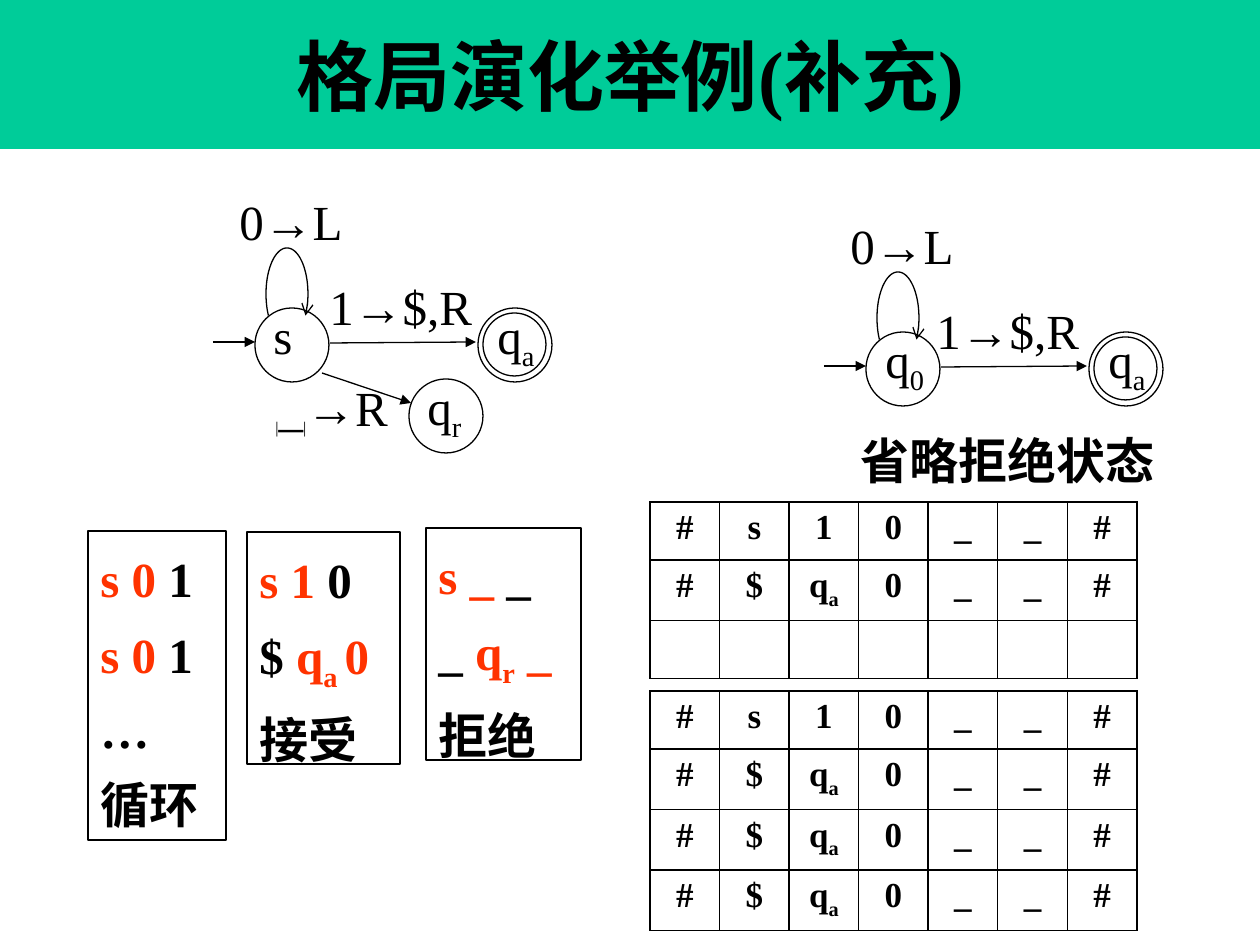
import math

from lxml import etree
from pptx import Presentation
from pptx import util as u
from pptx.dml.color import RGBColor
from pptx.enum import shapes, text
from pptx.oxml.ns import qn

THEME = {
    "font": "Times New Roman",
    "banner": RGBColor.from_string("00CC99"),
    "ink": RGBColor.from_string("000000"),
    "head": RGBColor.from_string("FF3300"),
    "paper": RGBColor.from_string("FFFFFF"),
    "title": 44, "body": 28, "cell": 20, "bar": 16,
    "line": 0.75, "border": 1,
}

# A run is a text or (text, marks): "h" head colour, "s" subscript, "b" small bar
TITLE = "格局演化举例(补充)"
OMITTED = "省略拒绝状态"
Q_A, Q_R, Q_0 = (["q", (name, "s")] for name in "ar0")
BLANK_TO_R = [("|", "bs"), "_", ("|", "bs"), "→R"]

# start circle position, start label and its indent, x of the edge label, has reject state
AUTOMATA = [
    ((255, 308), ["s"], 18, 62, True),
    ((866, 332), Q_0, 7, 58, False),
]

# left, top, width, height, lines
HISTORIES = [
    (88, 531, 138, 309, [[("s 0", "h"), " 1"], [("s 0", "h"), " 1"], ["…"], ["循环"]]),
    (247, 532, 153, 232, [[("s 1", "h"), " 0"],
                          ["$ ", ("q", "h"), ("a ", "hs"), ("0", "h")], ["接受"]]),
    (426, 528, 155, 232, [[("s _", "h"), " _"],
                          ["_ ", ("q", "h"), ("r", "hs"), (" _", "h")], ["拒绝"]]),
]

FIRST = [["#"], ["s"], ["1"], ["0"], ["_"], ["_"], ["#"]]
ACCEPTED = [["#"], ["$"], Q_A, ["0"], ["_"], ["_"], ["#"]]
TABLES = [
    (502, [FIRST, ACCEPTED, [[]] * 7]),
    (691, [FIRST] + [ACCEPTED] * 3),
]
TABLE_LEFT, TABLE_WIDTH, ROW_HEIGHT = 650, 487, 58
CIRCLE = 74


def px(n):
    return u.Emu(round(n * 914400 / 126))


def write(p, runs, size, bold=False, align=text.PP_ALIGN.LEFT):
    p.alignment = align
    p.font.name, p.font.size, p.font.bold = THEME["font"], u.Pt(size), bold
    p.font.color.rgb = THEME["ink"]
    for item in runs:
        words, marks = (item, "") if isinstance(item, str) else item
        r = p.add_run()
        r.text = words
        if "h" in marks:
            r.font.color.rgb = THEME["head"]
        if "b" in marks:
            r.font.size = u.Pt(THEME["bar"])
        if "s" in marks:
            r._r.get_or_add_rPr().set("baseline", "-25000")


def outline(sp):
    sp.shadow.inherit = False
    sp.fill.background()
    sp.line.color.rgb = THEME["ink"]
    sp.line.width = u.Pt(THEME["line"])


def add_head(sp, kind):
    etree.SubElement(sp.line._get_or_add_ln(), qn("a:tailEnd"), type=kind)


def add_label(parent, x, y, runs, width=190, bold=False):
    sp = parent.add_textbox(px(x), px(y), px(width), px(72))
    tf = sp.text_frame
    tf.word_wrap, tf.margin_right = True, 0
    write(tf.paragraphs[0], runs, THEME["body"], bold)


def add_circle(parent, x, y, size=CIRCLE):
    outline(parent.add_shape(shapes.MSO_SHAPE.OVAL, px(x), px(y), px(size), px(size)))


def add_arrow(parent, x1, y1, x2, y2):
    sp = parent.add_connector(shapes.MSO_CONNECTOR.STRAIGHT, px(x1), px(y1), px(x2), px(y2))
    sp.line.color.rgb = THEME["ink"]
    sp.line.width = u.Pt(THEME["line"])
    add_head(sp, "triangle")
    etree.SubElement(sp._element.spPr, qn("a:effectLst"))


def add_loop(parent, cx, cy, rx=21, ry=46):
    """Draw the self-transition as an ellipse open at the bottom."""
    points = [(px(cx + rx * math.cos(math.radians(a))), px(cy + ry * math.sin(math.radians(a))))
              for a in range(152, 389, 4)]
    builder = parent.build_freeform(*points[0])
    builder.add_line_segments(points[1:], close=False)
    sp = builder.convert_to_shape()
    outline(sp)
    add_head(sp, "arrow")


def add_automaton(slide, origin, start, indent, edge_x, rejects):
    x, y = origin
    g = slide.shapes.add_group_shape().shapes
    add_circle(g, x, y)
    add_label(g, x + indent - 12 + 12 * (indent == 7), y - 9, start, 75)
    add_circle(g, x + 223, y)
    add_circle(g, x + 228, y + 5, 63)
    add_label(g, x + 230, y - 9, Q_A, 75)
    add_arrow(g, x - 42, y + 34, x, y + 34)
    add_arrow(g, x + 75, y + 35, x + 221, y + 34)
    add_loop(g, x + 32, y - 14)
    add_label(g, x - 28, y - 123, ["0→L"])
    add_label(g, x + edge_x, y - 38, ["1→$,R"])
    if rejects:
        add_circle(g, x + 154, y + 71)
        add_label(g, x + 160, y + 62, Q_R, 75)
        add_arrow(g, x + 67, y + 65, x + 156, y + 95)
        add_label(g, x + 8, y + 63, BLANK_TO_R)


def add_history(slide, x, y, w, h, lines):
    sp = slide.shapes.add_shape(shapes.MSO_SHAPE.RECTANGLE, px(x), px(y), px(w), px(h))
    outline(sp)
    tf = sp.text_frame
    tf.word_wrap, tf.margin_right, tf.margin_top = True, 0, px(12)
    tf.vertical_anchor = text.MSO_ANCHOR.TOP
    for i, runs in enumerate(lines):
        p = tf.add_paragraph() if i else tf.paragraphs[0]
        p.line_spacing = 1.1
        p.space_before, p.space_after = u.Pt(3 if i else 0), u.Pt(3)
        write(p, runs, THEME["body"], True)


def add_borders(cell):
    tcPr = cell._tc.get_or_add_tcPr()
    for i, side in enumerate(("lnL", "lnR", "lnT", "lnB")):
        ln = etree.Element(qn("a:" + side), w=str(u.Pt(THEME["border"])))
        fill = etree.SubElement(ln, qn("a:solidFill"))
        etree.SubElement(fill, qn("a:srgbClr"), val=str(THEME["ink"]))
        tcPr.insert(i, ln)


def add_tableau(slide, top, rows):
    table = slide.shapes.add_table(len(rows), len(FIRST), px(TABLE_LEFT), px(top),
                                   px(TABLE_WIDTH), px(ROW_HEIGHT * len(rows))).table
    table.first_row = table.horz_banding = False
    for i, row in enumerate(rows):
        for j, runs in enumerate(row):
            cell = table.cell(i, j)
            cell.fill.solid()
            cell.fill.fore_color.rgb = THEME["paper"]
            add_borders(cell)
            write(cell.text_frame.paragraphs[0], runs, THEME["cell"], True,
                  text.PP_ALIGN.CENTER)


def main():
    prs = Presentation()
    prs.slide_width, prs.slide_height = px(1260), px(945)
    slide = prs.slides.add_slide(prs.slide_layouts[5])

    title = slide.shapes.title
    title.left, title.top, title.width, title.height = px(0), px(0), px(1260), px(149)
    title.fill.solid()
    title.fill.fore_color.rgb = THEME["banner"]
    title.text_frame.vertical_anchor = text.MSO_ANCHOR.MIDDLE
    write(title.text_frame.paragraphs[0], [TITLE], THEME["title"], True, text.PP_ALIGN.CENTER)

    for automaton in AUTOMATA:
        add_automaton(slide, *automaton)
    for history in HISTORIES:
        add_history(slide, *history)
    add_label(slide.shapes, 848, 424, [OMITTED], 324, True)
    for top, rows in TABLES:
        add_tableau(slide, top, rows)
    prs.save("out.pptx")


if __name__ == "__main__":
    main()
